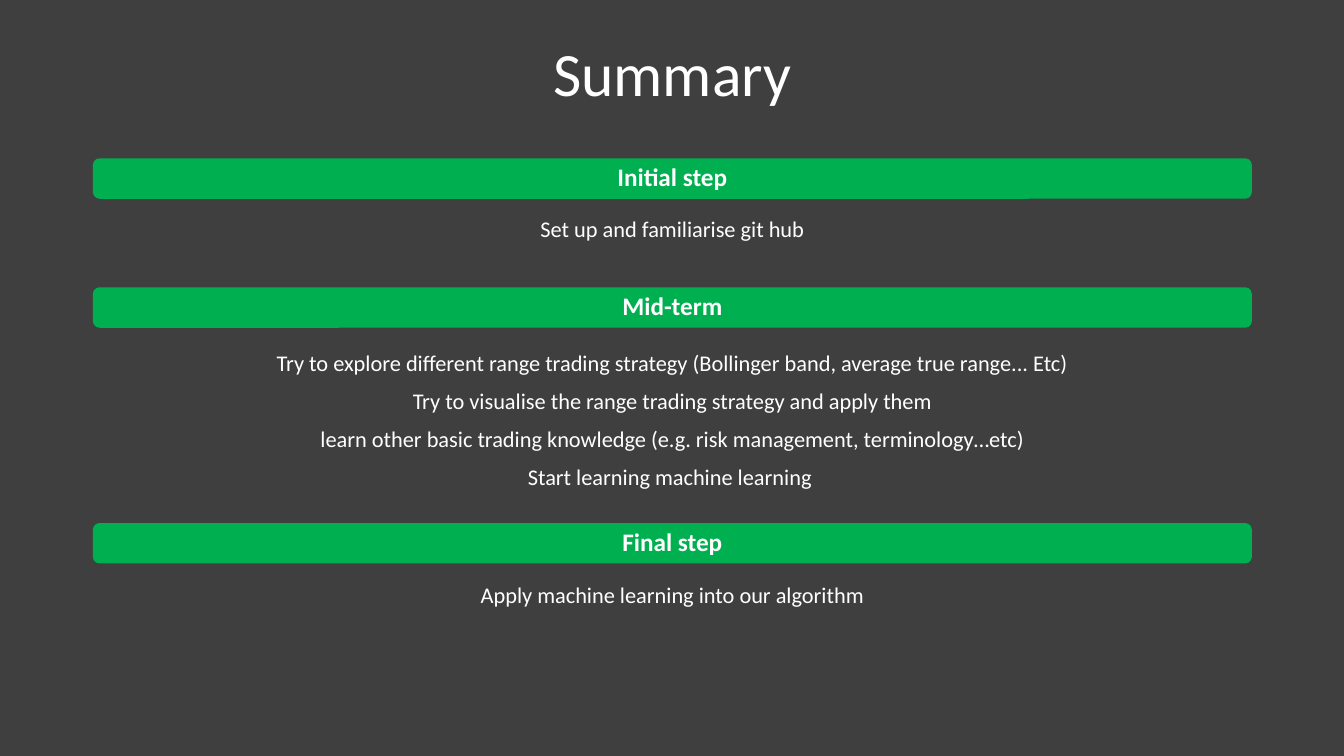
"""Build the project summary slide with three stages."""
from lxml import etree
from pptx import Presentation
from pptx import util as u
from pptx.dml.color import RGBColor
from pptx.enum import shapes, text
from pptx.oxml.ns import qn

COLOURS = {"background": "3F3F3F", "bar": "00B050", "text": "FFFFFF"}
LEFT, WIDTH = u.Cm(2.34), u.Cm(29.21)
BAR_HEIGHT = 1.02
STAGES = [
    ("Initial step", 3.99, 5.38, 0.74, 1, ["Set up and familiarise git hub"]),
    ("Mid-term", 7.24, 8.74, 3.68, 2, [
        "Try to explore different range trading strategy (Bollinger band, average true range... Etc)",
        "Try to visualise the range trading strategy and apply them",
        "learn other basic trading knowledge (e.g. risk management, terminology…etc)",
        "Start learning machine learning ",
    ]),
    ("Final step", 13.18, 14.6, 0.74, 4, ["Apply machine learning into our algorithm"]),
]


class SummaryPage:
    """Hold the slide and its style, and add each kind of element."""

    def __init__(self, deck):
        """Add a dark page with title and body placeholders."""
        self.font = "Calibri"
        self.page = deck.slides.add_slide(deck.slide_layouts[4])
        fill = self.page.background.fill
        fill.solid()
        fill.fore_color.rgb = RGBColor.from_string(COLOURS["background"])

    def place(self, box, top, height):
        """Move a placeholder into the page's column."""
        box.left, box.top = LEFT, u.Cm(top)
        box.width, box.height = WIDTH, u.Cm(height)

    def add_lines(self, box, lines, size, bold=False, anchor=text.MSO_ANCHOR.MIDDLE):
        """Fill a box with centred paragraphs without bullets."""
        frame = box.text_frame
        frame.word_wrap = True
        frame.auto_size = text.MSO_AUTO_SIZE.NONE
        frame.vertical_anchor = anchor
        for number, line in enumerate(lines):
            para = frame.add_paragraph() if number else frame.paragraphs[0]
            para.alignment = text.PP_ALIGN.CENTER
            para.line_spacing = 0.9
            para.space_before = u.Pt(10 if number else 0)
            properties = para._p.get_or_add_pPr()
            properties.set("marL", "0")
            properties.set("indent", "0")
            etree.SubElement(properties, qn("a:buNone"))
            span = para.add_run()
            span.text = line
            span.font.name = self.font
            span.font.size = u.Pt(size)
            span.font.bold = bold
            span.font.color.rgb = RGBColor.from_string(COLOURS["text"])

    def title(self, words):
        """Set the page title."""
        box = self.page.shapes.title
        self.place(box, 0.08, 3.71)
        self.add_lines(box, [words], 44)

    def bar(self, words, top):
        """Add a rounded heading bar."""
        box = self.page.shapes.add_shape(
            shapes.MSO_SHAPE.ROUNDED_RECTANGLE, LEFT, u.Cm(top), WIDTH, u.Cm(BAR_HEIGHT))
        box.shadow.inherit = False
        box.fill.solid()
        box.fill.fore_color.rgb = RGBColor.from_string(COLOURS["bar"])
        box.line.fill.background()
        self.add_lines(box, [words], 18, bold=True)

    def steps(self, index, lines, top, height):
        """Fill a body placeholder with the steps of a stage."""
        box = self.page.placeholders[index]
        self.place(box, top, height)
        self.add_lines(box, lines, 16, anchor=text.MSO_ANCHOR.TOP)

    def remove_empty(self):
        """Remove placeholders that hold no text."""
        for box in list(self.page.placeholders):
            if not box.text_frame.text:
                box.element.getparent().remove(box.element)


def main():
    """Build and save the deck."""
    deck = Presentation()
    deck.slide_width, deck.slide_height = u.Cm(33.87), u.Cm(19.05)
    summary = SummaryPage(deck)
    summary.title("Summary")
    for heading, bar_top, steps_top, height, index, lines in STAGES:
        summary.bar(heading, bar_top)
        summary.steps(index, lines, steps_top, height)
    summary.remove_empty()
    deck.save("out.pptx")


if __name__ == "__main__":
    main()
